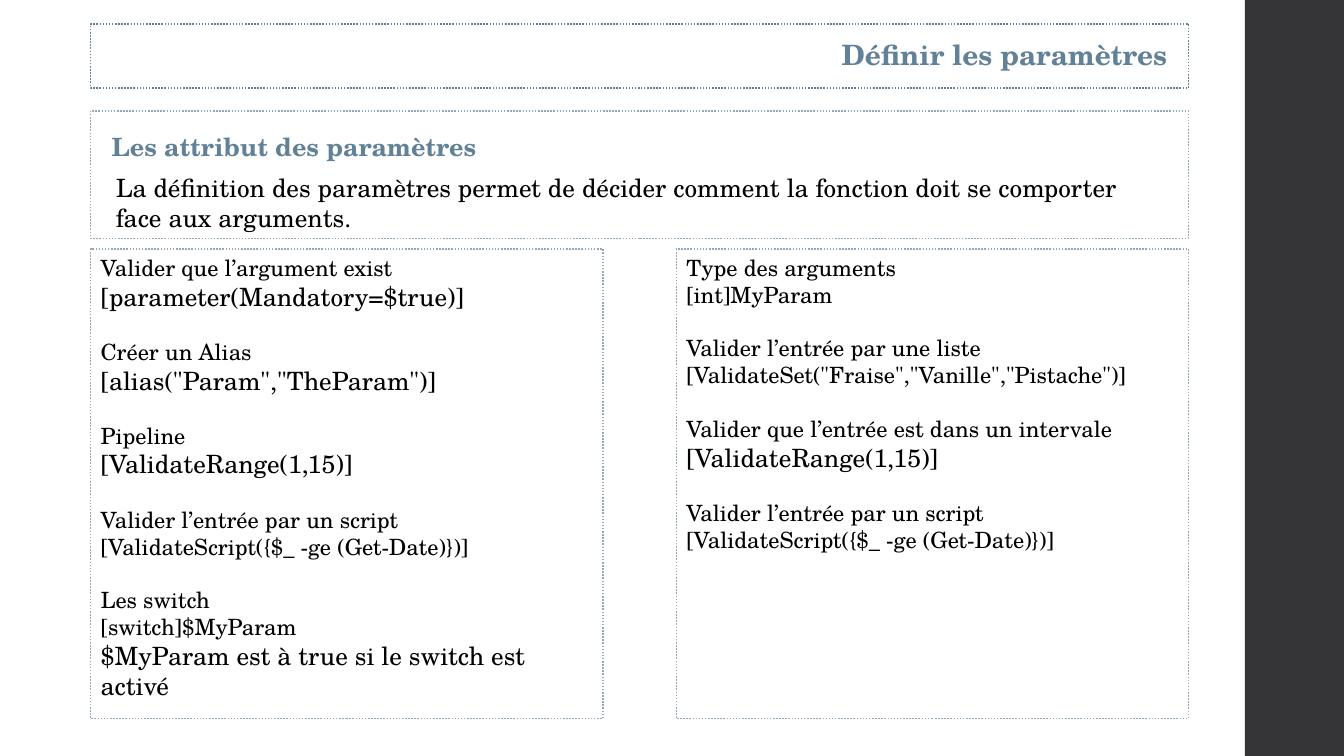
from pptx import Presentation
from pptx.dml.color import RGBColor
from pptx.enum.dml import MSO_LINE
from pptx.enum.shapes import MSO_SHAPE
from pptx.enum.text import PP_ALIGN
from pptx.util import Pt

RECTANGLE = MSO_SHAPE.RECTANGLE
DOTTED = MSO_LINE.ROUND_DOT
LEFT, RIGHT = PP_ALIGN.LEFT, PP_ALIGN.RIGHT

SLIDE_WIDTH, SLIDE_HEIGHT = 960, 540
BLUE, PALE_BLUE, DARK, BLACK = "618197", "92A9B9", "353537", "000000"
BODY, LARGE, TITLE = 16, 18, 20

MARGIN, FRAME_WIDTH = 64.8, 784.1
COLUMN_TOP, COLUMN_WIDTH, COLUMN_HEIGHT = 177.9, 365.8, 335.5
COLUMN_TEXT_WIDTH = 350
BLANK_LINE = 1.2  # gap between groups, as a multiple of the text size


def color(hex_text):
    """Turn a hex string into a colour."""
    return RGBColor.from_string(hex_text)


class SlideWriter:
    """Holds the style and the current slide."""

    def __init__(self, slide, font):
        """Keep the slide and the font name."""
        self.shapes = slide.shapes
        self.font = font

    def band(self, left, top, width, height, fill):
        """Draw a filled rectangle without outline."""
        shape = self.shapes.add_shape(
            RECTANGLE, Pt(left), Pt(top), Pt(width), Pt(height))
        shape.shadow.inherit = False
        shape.fill.solid()
        shape.fill.fore_color.rgb = color(fill)
        shape.line.fill.background()

    def frame(self, left, top, width, height, line=PALE_BLUE):
        """Draw an empty rectangle with a dotted outline."""
        shape = self.shapes.add_shape(
            RECTANGLE, Pt(left), Pt(top), Pt(width), Pt(height))
        shape.shadow.inherit = False
        shape.fill.background()
        shape.line.color.rgb = color(line)
        shape.line.width = Pt(1.1)
        shape.line.dash_style = DOTTED

    def text(self, left, top, width, height, groups,
             ink=BLACK, bold=False, align=LEFT):
        """Write groups of (wording, size) lines, spaced apart by a gap."""
        box = self.shapes.add_textbox(
            Pt(left), Pt(top), Pt(width), Pt(height))
        frame = box.text_frame
        frame.word_wrap = True
        para = None
        for group in groups:
            for position, (wording, size) in enumerate(group):
                is_first = para is None
                para = frame.paragraphs[0] if is_first else frame.add_paragraph()
                para.alignment = align
                if position == 0 and not is_first:
                    para.space_before = Pt(BODY * BLANK_LINE)
                span = para.add_run()
                span.text = wording
                span.font.name = self.font
                span.font.size = Pt(size)
                span.font.bold = bold
                span.font.color.rgb = color(ink)


deck = Presentation()
deck.slide_width, deck.slide_height = Pt(SLIDE_WIDTH), Pt(SLIDE_HEIGHT)
page = deck.slides.add_slide(deck.slide_layouts[6])
writer = SlideWriter(page, "TeX Gyre Schola")

SIDE_BAND_LEFT = 889.2
writer.band(SIDE_BAND_LEFT, 0, SLIDE_WIDTH - SIDE_BAND_LEFT, SLIDE_HEIGHT, DARK)

writer.frame(MARGIN, 79.2, FRAME_WIDTH, 91.1)
writer.frame(MARGIN, 17, FRAME_WIDTH, 46.1, BLUE)
writer.text(75.6, 23, 765.4, 31.5, [[("Définir les paramètres", TITLE)]],
            ink=BLUE, bold=True, align=RIGHT)
writer.text(72.7, 90, 399, 29, [[("Les attribut des paramètres", LARGE)]],
            ink=BLUE, bold=True)
writer.text(75.6, 119.5, 733.7, 51, [[(
    "La définition des paramètres permet de décider comment la fonction "
    "doit se comporter face aux arguments.", LARGE)]])

script_group = [("Valider l’entrée par un script", BODY),
                ("[ValidateScript({$_ -ge (Get-Date)})]", BODY)]
range_line = ("[ValidateRange(1,15)]", LARGE)

left_groups = [
    [("Valider que l’argument exist", BODY),
     ("[parameter(Mandatory=$true)]", LARGE)],
    [("Créer un Alias", BODY), ('[alias("Param","TheParam")]', LARGE)],
    [("Pipeline", BODY), range_line],
    script_group,
    [("Les switch", BODY), ("[switch]$MyParam", BODY),
     ("$MyParam est à true si le switch est activé", LARGE)],
]
right_groups = [
    [("Type des arguments", BODY), ("[int]MyParam", BODY)],
    [("Valider l’entrée par une liste", BODY),
     ('[ValidateSet("Fraise","Vanille","Pistache")]', BODY)],
    [("Valider que l’entrée est dans un intervale", BODY), range_line],
    script_group,
]

right_column = MARGIN + FRAME_WIDTH - COLUMN_WIDTH
for column_left, groups in ((MARGIN, left_groups), (right_column, right_groups)):
    writer.frame(column_left, COLUMN_TOP, COLUMN_WIDTH, COLUMN_HEIGHT)
    writer.text(column_left, COLUMN_TOP, COLUMN_TEXT_WIDTH, COLUMN_HEIGHT, groups)

deck.save("out.pptx")
